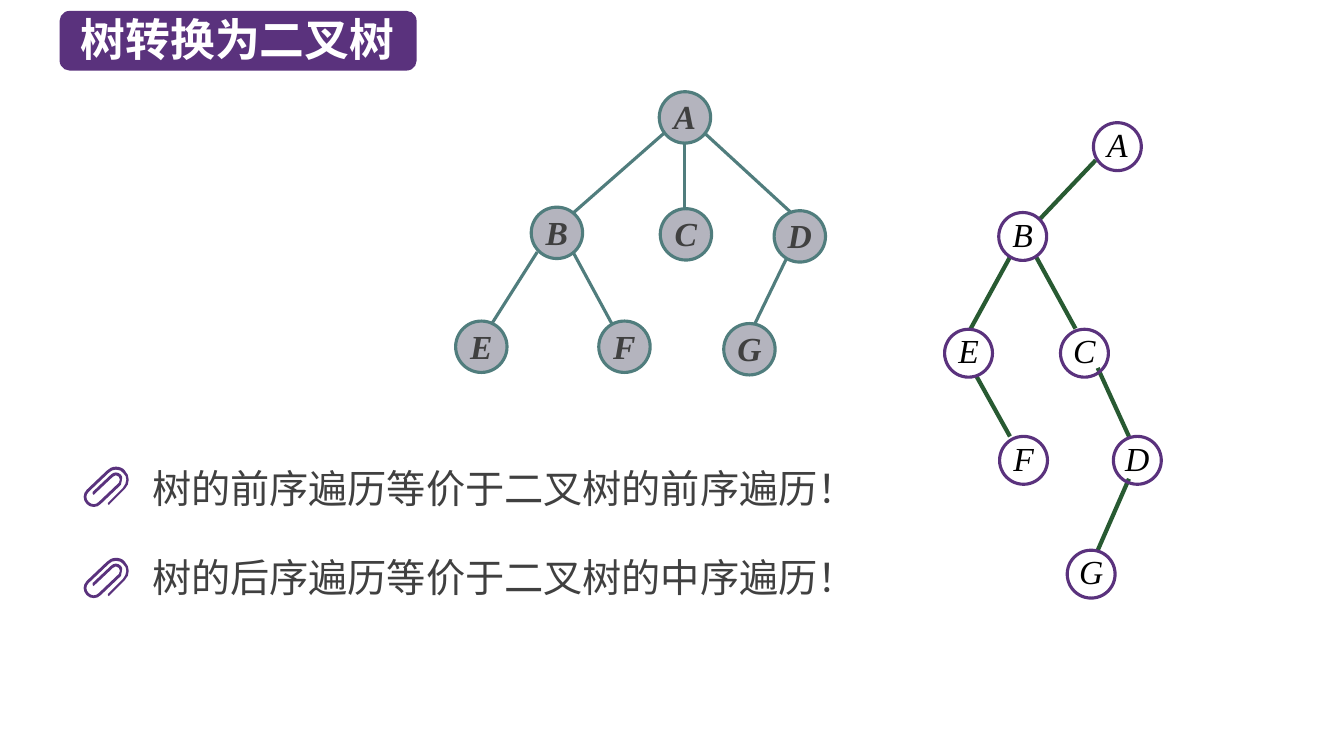
from dataclasses import dataclass

from lxml.etree import SubElement
from pptx import Presentation
from pptx.dml.color import RGBColor
from pptx.enum.shapes import MSO_CONNECTOR, MSO_SHAPE
from pptx.enum.text import MSO_ANCHOR, MSO_AUTO_SIZE, PP_ALIGN
from pptx.oxml.ns import qn
from pptx.util import Inches, Pt

# The slide is a grid of 160 columns by 90 rows, twelve cells to the inch.
CELL = Inches(1) / 12

Point = tuple[float, float]


@dataclass(frozen=True)
class Theme:
    purple: str = "5A327D"
    green: str = "285A32"
    teal: str = "507D7D"
    grey: str = "B4B4BE"
    dark: str = "404040"
    black: str = "000000"
    white: str = "FFFFFF"
    text_font: str = "Noto Sans CJK SC"
    node_font: str = "Times New Roman"
    title_size: int = 32
    body_size: int = 28
    node_size: int = 24


THEME = Theme()


@dataclass(frozen=True)
class TreeStyle:
    diameter: float
    fill: str | None
    outline: str
    edge: str
    edge_width: float
    letter: str
    bold: bool
    top_inset: float
    line_spacing: int


@dataclass(frozen=True)
class Tree:
    style: TreeStyle
    nodes: dict[str, Point]
    edges: list[tuple[Point, Point]]


GENERAL_TREE = Tree(
    TreeStyle(6.12, THEME.grey, THEME.teal, THEME.teal, 2.25, THEME.dark, True, 0.25, 26),
    {"A": (81.54, 13.98), "B": (66.3, 27.72), "C": (81.66, 27.9), "D": (95.22, 28.14),
     "E": (57.3, 41.28), "F": (74.34, 41.28), "G": (89.22, 41.58)},
    [((79.08, 15.84), (68.28, 25.32)), ((81.48, 17.04), (81.48, 24.84)),
     ((84, 15.96), (94.32, 25.44)), ((63.96, 30), (58.56, 38.52)),
     ((68.28, 30.12), (72.96, 38.76)), ((93.6, 30.84), (89.76, 38.76))],
)
BINARY_TREE = Tree(
    TreeStyle(5.7, None, THEME.purple, THEME.green, 3, THEME.black, False, 0, 25),
    {"A": (133.02, 17.46), "B": (121.75, 28.15), "C": (129.1, 42.05), "D": (135.4, 54.8),
     "E": (115.3, 42.05), "F": (121.85, 54.8), "G": (129.9, 68.35)},
    [((130.44, 19.08), (123.72, 26.16)), ((120.24, 30.6), (115.56, 39.12)),
     ((123.36, 30.6), (128.04, 39.12)), ((116.16, 44.64), (120.24, 51.96)),
     ((130.68, 43.8), (134.4, 51.96)), ((134.4, 57), (130.68, 65.52))],
)

STATEMENTS = ["树的前序遍历等价于二叉树的前序遍历！", "树的后序遍历等价于二叉树的中序遍历！"]
CLIP_COLUMN, CLIP_ROW, CLIP_PITCH = 9.84, 55.56, 10.85

# Paper clip outline in hundredths of an inch: one point is a line, three are a curve.
CLIP_START: Point = (42, 4)
CLIP_OUTLINE: list[list[Point]] = [
    [(40, 1), (36, 0), (33, 0)], [(29, 0), (26, 2), (24, 4)], [(4, 23)],
    [(0, 27), (0, 33), (4, 37)], [(6, 39), (8, 40), (11, 40)],
    [(14, 40), (16, 39), (18, 37)], [(38, 18)], [(39, 16), (39, 15), (39, 13)],
    [(40, 11), (39, 9), (38, 8)], [(35, 5), (31, 5), (28, 8)], [(10, 25)],
    [(10, 26), (10, 27), (10, 27)], [(10, 27), (11, 28), (11, 28)],
    [(12, 28), (12, 27), (12, 27)], [(30, 10)], [(32, 8), (34, 8), (36, 10)],
    [(36, 11), (37, 12), (37, 13)], [(37, 14), (36, 15), (36, 16)], [(16, 35)],
    [(13, 38), (9, 38), (6, 35)], [(3, 32), (3, 28), (6, 25)], [(26, 6)],
    [(28, 4), (30, 3), (33, 3)], [(36, 3), (39, 4), (40, 6)],
    [(45, 10), (44, 16), (40, 21)], [(25, 36)], [(25, 36), (25, 37), (25, 37)],
    [(25, 38), (26, 38), (26, 38)], [(26, 38), (27, 38), (27, 37)], [(42, 22)],
    [(47, 17), (47, 9), (42, 4)],
]


def cells(count: float) -> int:
    return round(count * CELL)


def color(value: str) -> RGBColor:
    return RGBColor.from_string(value)


def place(box, left: float, top: float, width: float, height: float) -> None:
    box.left, box.top, box.width, box.height = map(cells, (left, top, width, height))


def format_span(span, font: str, size: int, hue: str, bold=False, italic=False) -> None:
    span.font.name, span.font.size = font, Pt(size)
    span.font.bold, span.font.italic = bold, italic
    span.font.color.rgb = color(hue)
    latin = span.font._element.find(qn("a:latin"))
    east_asian = SubElement(span.font._element, qn("a:ea"), typeface=font)
    latin.addnext(east_asian)


def set_insets(frame, left: float, top: float, right: float, bottom: float) -> None:
    frame.margin_left, frame.margin_top = cells(left), cells(top)
    frame.margin_right, frame.margin_bottom = cells(right), cells(bottom)


def fill_plain(shape, hue: str) -> None:
    shape.shadow.inherit = False
    shape.fill.solid()
    shape.fill.fore_color.rgb = color(hue)
    shape.line.fill.background()


def draw_title(page) -> None:
    title = page.shapes.title
    plate = page.shapes.add_shape(MSO_SHAPE.ROUNDED_RECTANGLE, 0, 0, 0, 0)
    place(plate, 7.1, 1.3, 42.5, 7.1)
    fill_plain(plate, THEME.purple)
    title._element.addprevious(plate._element)
    place(title, 8.4, 0.8, 41.6, 7.7)
    frame = title.text_frame
    frame.text = "树转换为二叉树"
    frame.auto_size, frame.word_wrap = MSO_AUTO_SIZE.NONE, True
    frame.vertical_anchor = MSO_ANCHOR.MIDDLE
    set_insets(frame, 1.2, 0.6, 1.2, 0.6)
    para = frame.paragraphs[0]
    para.alignment = PP_ALIGN.LEFT
    format_span(para.runs[0], THEME.text_font, THEME.title_size, THEME.white, bold=True)


def draw_tree(page, tree: Tree) -> None:
    style = tree.style
    for start, end in tree.edges:
        edge = page.shapes.add_connector(MSO_CONNECTOR.STRAIGHT, *map(cells, start + end))
        edge.line.color.rgb, edge.line.width = color(style.edge), Pt(style.edge_width)
        SubElement(edge._element.spPr, qn("a:effectLst"))
    for letter, (column, row) in tree.nodes.items():
        node = page.shapes.add_shape(MSO_SHAPE.OVAL, 0, 0, 0, 0)
        radius = style.diameter / 2
        place(node, column - radius, row - radius, style.diameter, style.diameter)
        node.shadow.inherit = False
        if style.fill:
            node.fill.solid()
            node.fill.fore_color.rgb = color(style.fill)
        else:
            node.fill.background()
        node.line.color.rgb, node.line.width = color(style.outline), Pt(2.25)
        frame = node.text_frame
        frame.text, frame.word_wrap = letter, False
        frame.vertical_anchor = MSO_ANCHOR.MIDDLE
        set_insets(frame, 0, style.top_inset, 0, 0)
        para = frame.paragraphs[0]
        para.alignment, para.line_spacing = PP_ALIGN.CENTER, Pt(style.line_spacing)
        format_span(para.runs[0], THEME.node_font, THEME.node_size, style.letter,
                    bold=style.bold, italic=True)


def draw_clip(page, column: float, row: float) -> None:
    builder = page.shapes.build_freeform(*CLIP_START, scale=Inches(0.01))
    builder.add_line_segments([point for bends in CLIP_OUTLINE for point in bends], close=True)
    clip = builder.convert_to_shape(cells(column), cells(row))
    fill_plain(clip, THEME.purple)
    # Join each run of three line points into one curve.
    lines = iter(list(clip._element.iter(qn("a:lnTo"))))
    for bends in CLIP_OUTLINE:
        segment = [next(lines) for _ in bends]
        if len(segment) == 3:
            segment[0].tag = qn("a:cubicBezTo")
            curve = segment[0].makeelement(qn("a:cubicBezTo"))
            segment[0].addprevious(curve)
            for line in segment:
                curve.append(line[0])
                line.getparent().remove(line)


def draw_statements(page) -> None:
    body = page.placeholders[1]
    place(body, 18.1, 54.7, 98, 17.3)
    frame = body.text_frame
    frame.text = "\n".join(STATEMENTS)
    frame.auto_size, frame.word_wrap = MSO_AUTO_SIZE.NONE, True
    frame.vertical_anchor = MSO_ANCHOR.TOP
    set_insets(frame, 0, 0.6, 0, 0.6)
    for index, para in enumerate(frame.paragraphs):
        properties = para._p.get_or_add_pPr()
        properties.set("marL", "0")
        properties.set("indent", "0")
        SubElement(properties, qn("a:buNone"))
        para.alignment, para.space_before = PP_ALIGN.JUSTIFY, Pt(30 if index else 0)
        format_span(para.runs[0], THEME.text_font, THEME.body_size, THEME.dark)
        draw_clip(page, CLIP_COLUMN, CLIP_ROW + index * CLIP_PITCH)


deck = Presentation()
deck.slide_width, deck.slide_height = cells(160), cells(90)
page = deck.slides.add_slide(deck.slide_layouts[1])
draw_title(page)
draw_tree(page, BINARY_TREE)
draw_statements(page)
draw_tree(page, GENERAL_TREE)
deck.save("out.pptx")
